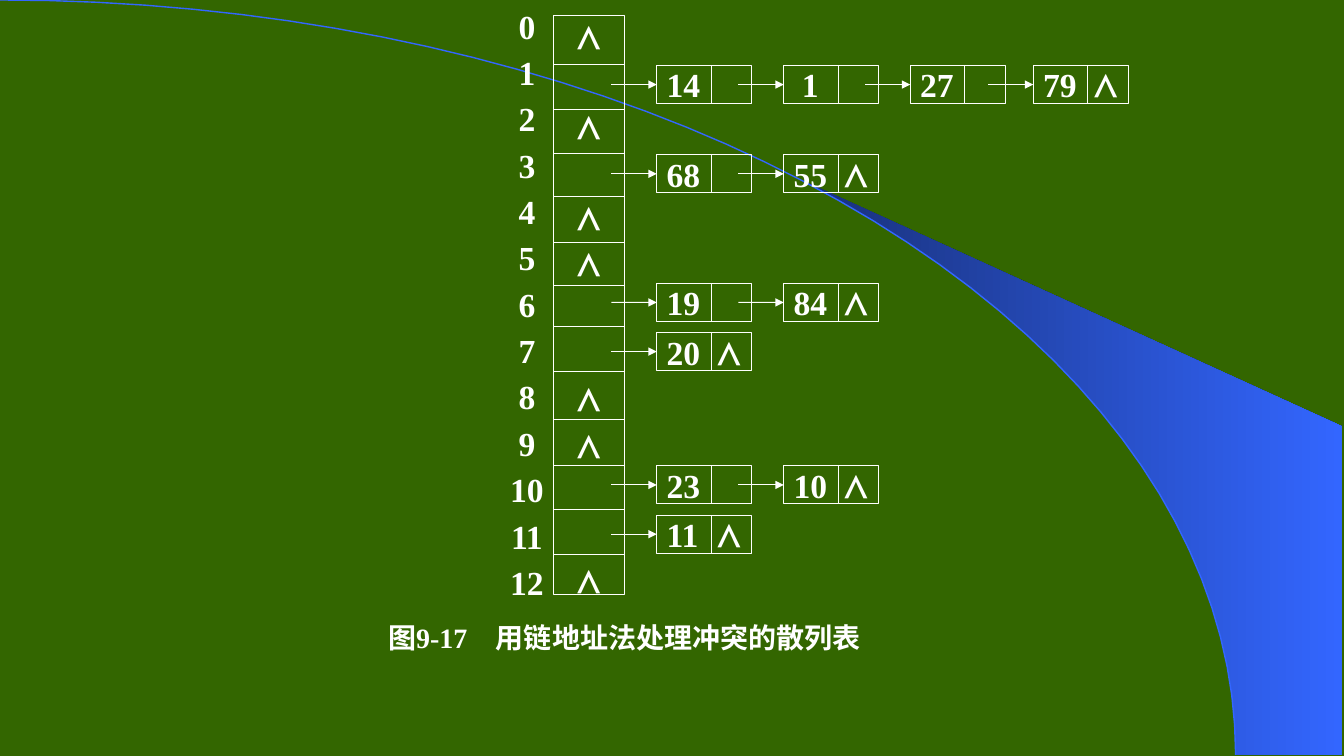
import math
from dataclasses import dataclass

from lxml import etree
from pptx import Presentation
from pptx import util as u
from pptx.dml import color as c
from pptx.enum import shapes, text
from pptx.oxml import ns


@dataclass(frozen=True)
class Theme:
    background: c.RGBColor = c.RGBColor(0x33, 0x66, 0x00)
    ink: c.RGBColor = c.RGBColor(0xFF, 0xFF, 0xFF)
    blue: c.RGBColor = c.RGBColor(0x33, 0x66, 0xFF)
    dark_blue: c.RGBColor = c.RGBColor(0x18, 0x2F, 0x76)
    font: str = "Times New Roman"
    label_size: int = 24
    caption_size: int = 20
    line_width: float = 0.75
    line_spacing: float = 1.15


THEME = Theme()
NULL = "⋀"

# Hash table: 13 buckets, chains keyed by bucket number
BUCKETS = 13
CHAINS = {1: [14, 1, 27, 79], 3: [68, 55], 6: [19, 84],
          7: [20], 10: [23, 10], 11: [11]}

# Geometry in centimetres
CHAIN_TOPS = {1: 1.65, 3: 3.9, 6: 7.14, 7: 8.38, 10: 11.74, 11: 12.98}
NODE_LEFTS = [16.55, 19.75, 22.94, 26.04]
NODE_WIDTH, NODE_HEIGHT, NODE_SPLIT = 2.39, 0.96, 1.37
ARROW_LENGTH = 1.14
TABLE_LEFT, TABLE_TOP, TABLE_WIDTH, TABLE_HEIGHT = 13.94, 0.38, 1.8, 14.6
BUCKET_EDGES = [1.63, 2.77, 3.86, 4.95, 6.1, 7.19,
                8.23, 9.35, 10.57, 11.73, 12.85, 13.97]
ROW_PITCH = 31.7  # points
ARC_WIDTH, ARC_HEIGHT = 31.14, 19.02


class Figure:
    def __init__(self, slide, theme):
        self.slide = slide
        self.theme = theme
        slide.background.fill.solid()
        slide.background.fill.fore_color.rgb = theme.background

    def outline(self, points, closed):
        corners = [(u.Cm(x), u.Cm(y)) for x, y in points]
        builder = self.slide.shapes.build_freeform(*corners[0])
        builder.add_line_segments(corners[1:], close=closed)
        shape = builder.convert_to_shape()
        shape.shadow.inherit = False
        return shape

    def arc(self, points):
        shape = self.outline(points, closed=False)
        shape.fill.background()
        shape.line.color.rgb = self.theme.blue
        shape.line.width = u.Pt(1)

    def wedge(self, points):
        shape = self.outline(points, closed=True)
        shape.line.fill.background()
        shape.fill.gradient()
        shape.fill.gradient_angle = 0
        colors = (self.theme.dark_blue, self.theme.blue)
        for stop, color in zip(shape.fill.gradient_stops, colors):
            stop.color.rgb = color

    def box(self, left, top, width, height):
        shape = self.slide.shapes.add_shape(
            shapes.MSO_SHAPE.RECTANGLE,
            u.Cm(left), u.Cm(top), u.Cm(width), u.Cm(height))
        shape.shadow.inherit = False
        shape.fill.background()
        shape.line.color.rgb = self.theme.ink
        shape.line.width = u.Pt(self.theme.line_width)
        return shape

    def text_box(self, left, top, width, height):
        return self.slide.shapes.add_textbox(
            u.Cm(left), u.Cm(top), u.Cm(width), u.Cm(height))

    def line(self, x1, y1, x2, y2, target=None):
        connector = self.slide.shapes.add_connector(
            shapes.MSO_CONNECTOR.STRAIGHT, u.Cm(x1), u.Cm(y1), u.Cm(x2), u.Cm(y2))
        connector.line.color.rgb = self.theme.ink
        connector.line.width = u.Pt(self.theme.line_width)
        properties = connector._element.spPr
        if target is not None:
            connector.end_connect(target, 1)
            etree.SubElement(properties.find(ns.qn("a:ln")),
                             ns.qn("a:tailEnd"), type="triangle")
        etree.SubElement(properties, ns.qn("a:effectLst"))

    def frame(self, shape, left=0.0, wrap=True):
        frame = shape.text_frame
        frame.word_wrap = wrap
        frame.vertical_anchor = text.MSO_ANCHOR.MIDDLE
        frame.margin_left = u.Cm(left)
        frame.margin_right = frame.margin_top = frame.margin_bottom = 0
        return frame

    def add_words(self, paragraph, words, size, tab=None):
        if tab:
            stops = etree.SubElement(paragraph._p.get_or_add_pPr(), ns.qn("a:tabLst"))
            etree.SubElement(stops, ns.qn("a:tab"), pos=str(int(u.Cm(tab))), algn="l")
        run = paragraph.add_run()
        run.text = words
        run.font.name = self.theme.font
        run.font.size = u.Pt(size)
        run.font.bold = True
        run.font.color.rgb = self.theme.ink

    def single(self, shape, words, size, left, tab=None):
        paragraph = self.frame(shape, left).paragraphs[0]
        paragraph.alignment = text.PP_ALIGN.LEFT
        self.add_words(paragraph, words, size, tab)

    def column(self, shape, rows):
        """Stack words by row number, spacing out the rows left free."""
        frame = self.frame(shape, wrap=False)
        previous = None
        for row, words in rows.items():
            first = previous is None
            paragraph = frame.paragraphs[0] if first else frame.add_paragraph()
            paragraph.alignment = text.PP_ALIGN.CENTER
            paragraph.line_spacing = self.theme.line_spacing
            if not first and row - previous > 1:
                paragraph.space_before = u.Pt((row - previous - 1) * ROW_PITCH)
            self.add_words(paragraph, words, self.theme.label_size)
            previous = row

    def node(self, left, top, key, is_last):
        shape = self.box(left, top, NODE_WIDTH, NODE_HEIGHT)
        words = f"{key}\t{NULL}" if is_last else str(key)
        inset = 0.25 if key > 9 else 0.46
        self.single(shape, words, self.theme.label_size, inset,
                    tab=1.27 if is_last else None)
        split = left + NODE_SPLIT
        self.line(split, top, split, top + NODE_HEIGHT)
        middle = top + NODE_HEIGHT / 2
        self.line(left - ARROW_LENGTH, middle, left, middle, target=shape)


def arc_points(start, steps=40):
    """Points on the quarter ellipse from a start angle to 90 degrees."""
    angles = [math.radians(start + (90 - start) * i / steps) for i in range(steps + 1)]
    return [(ARC_WIDTH * math.sin(a), ARC_HEIGHT * (1 - math.cos(a))) for a in angles]


def main():
    presentation = Presentation()
    presentation.slide_width, presentation.slide_height = u.Cm(33.87), u.Cm(19.05)
    slide = presentation.slides.add_slide(presentation.slide_layouts[6])
    figure = Figure(slide, THEME)

    # Backdrop
    figure.wedge(arc_points(40) + [(33.81, ARC_HEIGHT), (33.81, 10.74)])
    figure.arc(arc_points(0))

    # Caption
    caption = figure.text_box(9.53, 15.62, 12.4, 0.89)
    figure.single(caption, "图9-17\t用链地址法处理冲突的散列表",
                  THEME.caption_size, 0.25, tab=2.72)

    # Chains
    for bucket, keys in CHAINS.items():
        for index, key in enumerate(keys):
            figure.node(NODE_LEFTS[index], CHAIN_TOPS[bucket], key,
                        is_last=index == len(keys) - 1)

    # Bucket numbers and table
    numbers = figure.text_box(12.78, 0.28, 1, TABLE_HEIGHT)
    figure.column(numbers, {row: str(row) for row in range(BUCKETS)})
    table = figure.box(TABLE_LEFT, TABLE_TOP, TABLE_WIDTH, TABLE_HEIGHT)
    figure.column(table, {row: NULL for row in range(BUCKETS) if row not in CHAINS})
    for edge in BUCKET_EDGES:
        figure.line(TABLE_LEFT, edge, TABLE_LEFT + TABLE_WIDTH, edge)

    presentation.save("out.pptx")


if __name__ == "__main__":
    main()
